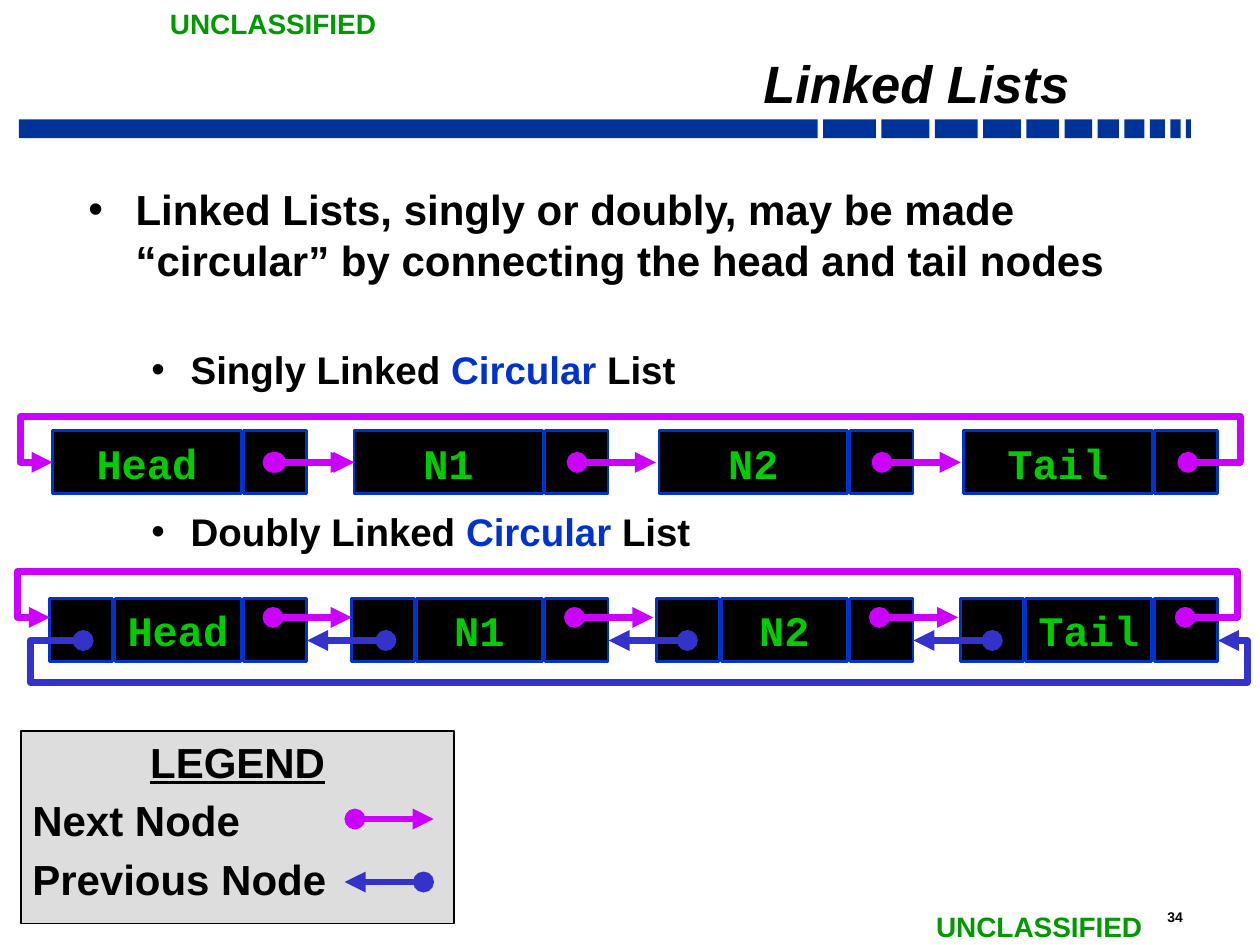
from lxml.etree import SubElement as Sub
from pptx import Presentation
from pptx.dml.color import RGBColor
from pptx.enum.shapes import MSO_CONNECTOR as Link, MSO_SHAPE as Kind
from pptx.enum.text import MSO_ANCHOR as Anchor, PP_ALIGN as Align
from pptx.oxml.ns import qn
from pptx.util import Pt

BLACK, GREEN, BLUE = "000000", "009900", "0033CC"
NEXT = dict(hue="CC00FF", ends=("oval", "triangle"))
PREV = dict(hue="3333CC", ends=("triangle", "oval"))
NAMES = "Head", "N1", "N2", "Tail"


def rgb(code):
    return RGBColor.from_string(code)


def put(para, text, hue=BLACK, **form):
    run = para.add_run()
    run.text = text
    run.font.color.rgb = rgb(hue)
    for key, val in {"name": "Arial", "bold": True, **form}.items():
        setattr(run.font, key, val)


def setup(frame, pad=(7.2, 3.6), wrap=True, anchor=Anchor.TOP):
    side, top = map(Pt, pad)
    form = dict(margin_left=side, margin_right=side, margin_top=top,
                margin_bottom=top, word_wrap=wrap, vertical_anchor=anchor)
    for key, val in form.items():
        setattr(frame, key, val)
    return frame.paragraphs[0]


def note(slide, box, **form):
    """Add an empty text box and return its frame and first paragraph."""
    frame = slide.shapes.add_textbox(*map(Pt, box)).text_frame
    return frame, setup(frame, **form)


def rect(slide, box, fill, edge=None, width=1.5):
    shape = slide.shapes.add_shape(Kind.RECTANGLE, *map(Pt, box))
    shape.shadow.inherit = False
    shape.fill.solid()
    shape.fill.fore_color.rgb = rgb(fill)
    if edge:
        shape.line.color.rgb = rgb(edge)
        shape.line.width = Pt(width)
    else:
        shape.line.fill.background()
    return shape


def stroke(shape, hue, ends):
    shape.line.color.rgb = rgb(hue)
    shape.line.width = Pt(4)
    line = shape.line._get_or_add_ln()
    Sub(line, qn("a:round"))
    for tag, end in zip(("a:headEnd", "a:tailEnd"), ends):
        Sub(line, qn(tag)).set("type", end)


def arrow(slide, x, y, style):
    line = slide.shapes.add_connector(
        Link.STRAIGHT, *map(Pt, (x, y, x + 45, y)))
    stroke(line, **style)
    Sub(line._element.spPr, qn("a:effectLst"))


def loop(slide, start, end, y, out, back, rise, style):
    """Route a line from start to end round both sides of a row."""
    right, left = start + out, end - back
    path = [(right, y), (right, y + rise), (left, y + rise), (left, y), (end, y)]
    form = slide.shapes.build_freeform(Pt(start), Pt(y), scale=1.0)
    form.add_line_segments([(Pt(a), Pt(b)) for a, b in path], close=False)
    shape = form.convert_to_shape()
    shape.shadow.inherit = False
    shape.fill.background()
    stroke(shape, **style)


def node(slide, x, y, name, double):
    """Draw the name cell and its link cells."""
    if double:
        cells = [(37.2, 72, name), (110.7, 36, ""), (0, 36, "")]
    else:
        cells = [(0, 108, name), (109.2, 36, "")]
    for left, width, text in cells:
        cell = rect(slide, (x + left, y, width, 36), BLACK, BLUE)
        if text:
            para = setup(cell.text_frame, wrap=False, anchor=Anchor.MIDDLE)
            para.alignment = Align.CENTER
            put(para, text, "00CC00", size=Pt(24), name="Courier New")


def chain(slide, x, y, double=False):
    """Draw a circular row of four nodes."""
    spots = [x + left for left in (0, 172.3, 346.5, 520.5)]
    for left, name in zip(spots, NAMES):
        node(slide, left, y, name, double)
    high = y + (10.8 if double else 18)
    for left in spots[:-1]:
        arrow(slide, left + 127.5, high, NEXT)
        if double:
            arrow(slide, left + 147, y + 24, PREV)
    if not double:
        arrow(slide, x + 126, high, NEXT)
    loop(slide, spots[-1] + 128.3, x, high, 29.8, 18.4, -26.2, NEXT)
    if double:
        loop(slide, spots[-1] + 147, x + 19, y + 24, 16.6, 30.2, 24, PREV)


def band(slide, x, y):
    for width in (456.5, 30.2, 27.4, 24.5, 21.6, 18.7,
                  15.8, 12.2, 11.5, 8.6, 5.8, 2.9):
        rect(slide, (x, y, width, 10.8), "003399")
        x += width + 3.1


def title(slide, box):
    para = note(slide, box, pad=(6.5, 3), anchor=Anchor.BOTTOM)[1]
    para.alignment, para.line_spacing = Align.RIGHT, 0.7
    put(para, "Linked Lists", size=Pt(30), italic=True)


def marks(slide):
    for x, y in ((90, 0), (527.8, 516.2)):
        para = note(slide, (x, y, 134, 26.6), wrap=False)[1]
        put(para, "UNCLASSIFIED", GREEN, size=Pt(16))
    put(note(slide, (660, 515.8, 39, 16.6))[1], "34", size=Pt(8))


def bullet(para, left, hang, gap):
    para.space_before = Pt(gap)
    props = para._p.get_or_add_pPr()
    props.set("marL", str(Pt(left)))
    props.set("indent", str(-Pt(hang)))
    Sub(Sub(props, qn("a:buClr")), qn("a:srgbClr")).set("val", BLACK)
    Sub(props, qn("a:buFont")).set("typeface", "Arial")
    Sub(props, qn("a:buChar")).set("char", "•")


def body(slide, box):
    frame, para = note(slide, box, pad=(6.5, 3))
    bullet(para, 27, 27, 4.8)
    put(para, "Linked Lists, singly or doubly, may be made “circular” "
        "by connecting the head and tail nodes", size=Pt(24))
    for kind, gap in (("Singly", 35), ("Doubly", 66.4)):
        para = frame.add_paragraph()
        bullet(para, 58.5, 22.5, gap)
        for text, hue in ((f"{kind} Linked ", BLACK), ("Circular", BLUE),
                          (" List", BLACK)):
            put(para, text, hue, size=Pt(22))


def legend(slide, x, y):
    panel = rect(slide, (x, y, 247.7, 110.2), "DDDDDD", BLACK, 1)
    frame = panel.text_frame
    para = setup(frame, pad=(6.5, 3))
    para.alignment = Align.CENTER
    put(para, "LEGEND", size=Pt(24), underline=True)
    for text in ("Next Node", "Previous Node"):
        para = frame.add_paragraph()
        para.alignment = Align.LEFT
        put(para, text, size=Pt(24))
    for para in frame.paragraphs:
        para.space_before = Pt(4.8)
    arrow(slide, x + 190.8, y + 50.4, NEXT)
    arrow(slide, x + 185, y + 86.4, PREV)


def main():
    deck = Presentation()
    deck.slide_width, deck.slide_height = Pt(720), Pt(540)
    slide = deck.slides.add_slide(deck.slide_layouts[6])
    band(slide, 10.8, 68.2)
    marks(slide)
    body(slide, (44, 102, 653, 372))
    title(slide, (119.5, 24.8, 498.2, 42.5))
    chain(slide, 30, 246.2)
    chain(slide, 28.5, 342, double=True)
    legend(slide, 12, 417.6)
    deck.save("out.pptx")


if __name__ == "__main__":
    main()
